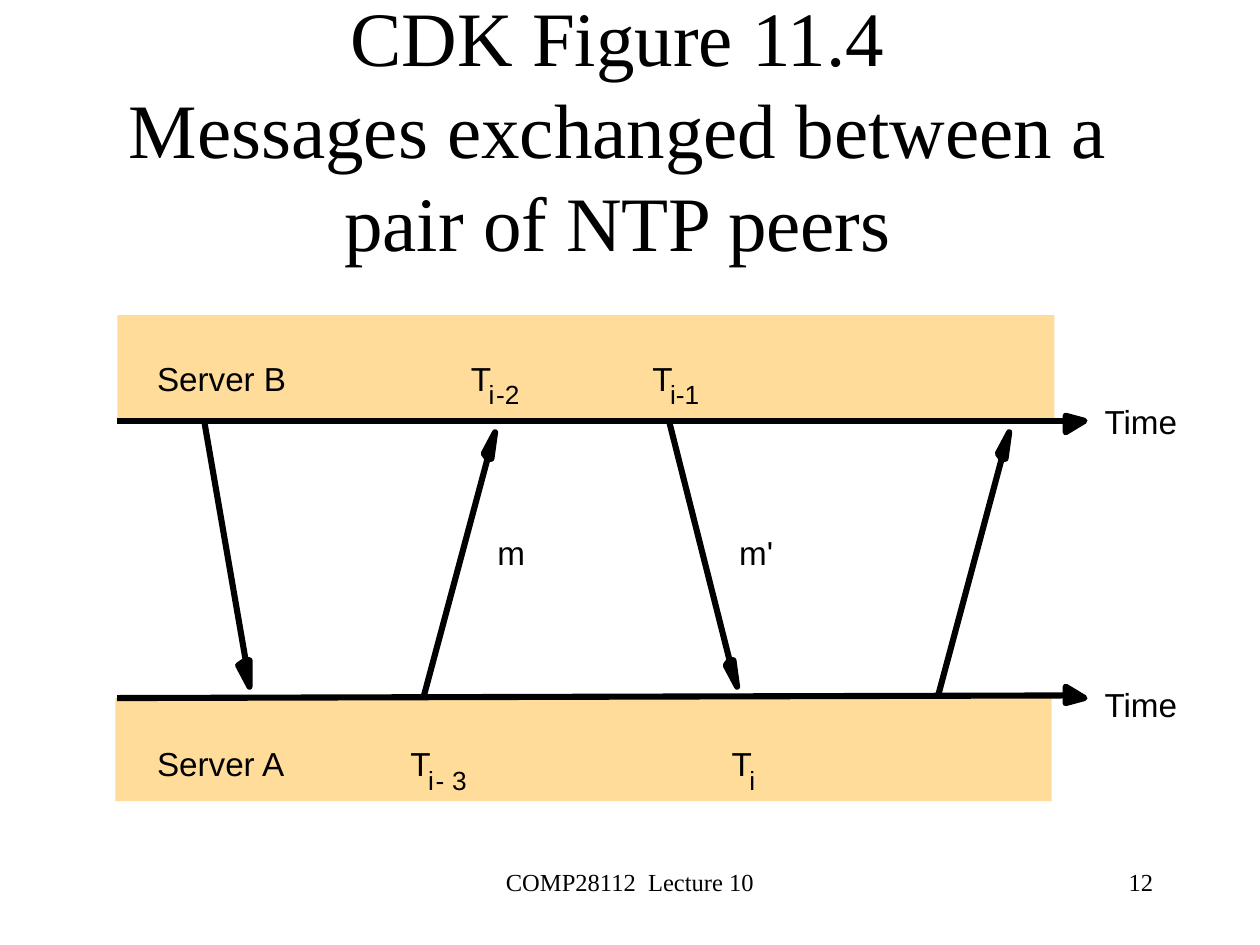
import collections
import dataclasses

import pptx
import pptx.dml.color
import pptx.enum.shapes
import pptx.enum.text
import pptx.oxml
import pptx.oxml.ns
import pptx.util

Pt = pptx.util.Pt
RGB = pptx.dml.color.RGBColor
ALIGN = pptx.enum.text.PP_ALIGN
ANCHOR = pptx.enum.text.MSO_ANCHOR
AUTO = pptx.enum.text.MSO_AUTO_SIZE
Box = collections.namedtuple("Box", "x y w h")


@dataclasses.dataclass(frozen=True)
class Theme:
    ink: RGB = RGB(0, 0, 0)
    band: RGB = RGB(0xFF, 0xDC, 0x99)
    serif: str = "Times New Roman"
    sans: str = "Arial"
    title: float = 44
    title_pitch: float = 52.9
    footer: float = 14
    label: float = 19
    subscript: float = 15
    stroke: float = 3.5


THEME = Theme()
TOP_LINE, BOTTOM_LINE = 60.5, 218.9
TIP_TOP, TIP_BOTTOM = 82.1, 197.3
TOP_TEXT, BOTTOM_TEXT = 24.5, 245

# Arrowhead outlines, relative to the end of the line they finish
UP = [(0, 0), (-2.2, -2.9), (4.3, -15.1), (2.2, 0)]
DOWN = [(0, 0), (2.2, 0), (4.3, 15.1), (-2.2, 2.9)]
DOWN_STEEP = [(0, 0), (2.2, 0), (2.2, 15.1), (-4.3, 2.9)]
RIGHT_B = [(0, 0), (0, -2.9), (10.8, 0), (0, 6.5)]
RIGHT_A = [(-1.4, 1.5), (-1.4, -5), (9.4, 1.5), (-1.4, 4.4)]

MESSAGES = [
    ((468.9, BOTTOM_LINE), (505.6, TIP_TOP), UP),
    ((315.5, TOP_LINE), (350.1, TIP_BOTTOM), DOWN),
    ((175.1, BOTTOM_LINE), (211.8, TIP_TOP), UP),
    ((49.9, TOP_LINE), (73.6, TIP_BOTTOM), DOWN_STEEP),
]
TIMELINES = [
    ((0.2, TOP_LINE), (542.1, TOP_LINE), RIGHT_B),
    ((0.2, BOTTOM_LINE), (543.5, 217.4), RIGHT_A),
]
BANDS = [Box(-0.8, 218.9, 535, 59), Box(0.2, 0, 535.5, 59)]

# x, y of each T, then (text, offset, width) of its subscript pieces
TIMESTAMPS = [
    (351.3, BOTTOM_TEXT, [("i", 10.1, 3.6)]),
    (306, TOP_TEXT, [("i-1", 10.1, 18)]),
    (202.3, TOP_TEXT, [("i", 10.1, 3.6), ("-2", 14.4, 14)]),
    (167.7, BOTTOM_TEXT,
     [("i", 10.1, 3.6), ("-", 14.4, 5.2), ("3", 23.8, 8.6)]),
]
LABELS = [
    ("Server B", 23, TOP_TEXT, 74.2),
    ("Server A", 23, BOTTOM_TEXT, 74.2),
    ("Time", 564.4, 49.5, 42.5),
    ("m", 217.4, 124, 16),
    ("m'", 355.6, 124, 20),
    ("Time", 564.4, 211, 42.5),
]


def set_all(obj, values):
    for name, value in values.items():
        setattr(obj, name, value)


def place(sp, box):
    set_all(sp, dict(zip(("left", "top", "width", "height"), map(Pt, box))))


def write(sp, text, font, size, frame, **paragraph):
    tf = sp.text_frame
    tf.text = text
    set_all(tf, frame)
    p = tf.paragraphs[0]
    set_all(p, paragraph)
    for r in p.runs:
        set_all(r.font, {"name": font, "size": Pt(size)})
        r.font.color.rgb = THEME.ink


def add_title(slide, box):
    sp = slide.shapes.title
    place(sp, box)
    frame = {"auto_size": AUTO.NONE, "vertical_anchor": ANCHOR.BOTTOM,
             "word_wrap": True}
    write(sp, "CDK Figure 11.4\vMessages exchanged between a pair of NTP peers",
          THEME.serif, THEME.title, frame, alignment=ALIGN.CENTER,
          line_spacing=Pt(THEME.title_pitch))


def add_footer(slide, box, text, alignment):
    sp = slide.shapes.add_textbox(*map(Pt, box))
    write(sp, text, THEME.serif, THEME.footer, {"word_wrap": True},
          alignment=alignment)


def add_label(slide, box, text, size):
    sp = slide.shapes.add_textbox(*map(Pt, box))
    frame = dict.fromkeys(
        ("margin_left", "margin_top", "margin_right", "margin_bottom"), 0)
    frame.update(word_wrap=False, auto_size=AUTO.SHAPE_TO_FIT_TEXT)
    write(sp, text, THEME.sans, size, frame)


def style_line(line):
    line.color.rgb = THEME.ink
    line.width = Pt(THEME.stroke)


def add_arrow(slide, box, start, end, head):
    """Draw a filled arrowhead outline and the straight line leading to it."""
    x, y = box.x + end[0], box.y + end[1]
    points = [(Pt(x + dx), Pt(y + dy)) for dx, dy in head]
    builder = slide.shapes.build_freeform(*points[0])
    builder.add_line_segments(points[1:], close=True)
    sp = builder.convert_to_shape()
    sp.shadow.inherit = False
    sp.fill.solid()
    sp.fill.fore_color.rgb = THEME.ink
    style_line(sp.line)

    line = slide.shapes.add_connector(
        pptx.enum.shapes.MSO_CONNECTOR.STRAIGHT,
        Pt(box.x + start[0]), Pt(box.y + start[1]), Pt(x), Pt(y))
    style_line(line.line)
    line._element.spPr.append(pptx.oxml.parse_xml(
        "<a:effectLst %s/>" % pptx.oxml.ns.nsdecls("a")))


def add_band(slide, box):
    sp = slide.shapes.add_shape(
        pptx.enum.shapes.MSO_SHAPE.RECTANGLE, *map(Pt, box))
    sp.shadow.inherit = False
    sp.fill.solid()
    sp.fill.fore_color.rgb = THEME.band
    sp.line.fill.background()


def add_exchange(slide, box):
    """Draw both servers, their time axes and the messages between them."""
    for message in MESSAGES:
        add_arrow(slide, box, *message)
    for band in BANDS:
        add_band(slide, band._replace(x=box.x + band.x, y=box.y + band.y))
    for timeline in TIMELINES:
        add_arrow(slide, box, *timeline)
    for x, y, pieces in TIMESTAMPS:
        left, top = box.x + x, box.y + y
        add_label(slide, Box(left, top, 12, 23), "T", THEME.label)
        for text, dx, w in pieces:
            add_label(slide, Box(left + dx, top + 11.5, w, 18), text,
                      THEME.subscript)
    for text, x, y, w in LABELS:
        add_label(slide, Box(box.x + x, box.y + y, w, 23), text, THEME.label)


def main():
    prs = pptx.Presentation()
    set_all(prs, {"slide_width": Pt(720), "slide_height": Pt(540)})
    slide = prs.slides.add_slide(prs.slide_layouts[5])
    add_footer(slide, Box(246, 492, 228, 36), "COMP28112  Lecture 10",
               ALIGN.CENTER)
    add_footer(slide, Box(516, 492, 150, 36), "12", ALIGN.RIGHT)
    add_title(slide, Box(30, 0, 646, 156))
    add_exchange(slide, Box(66.8, 180, 607, 278))
    prs.save("out.pptx")


if __name__ == "__main__":
    main()
